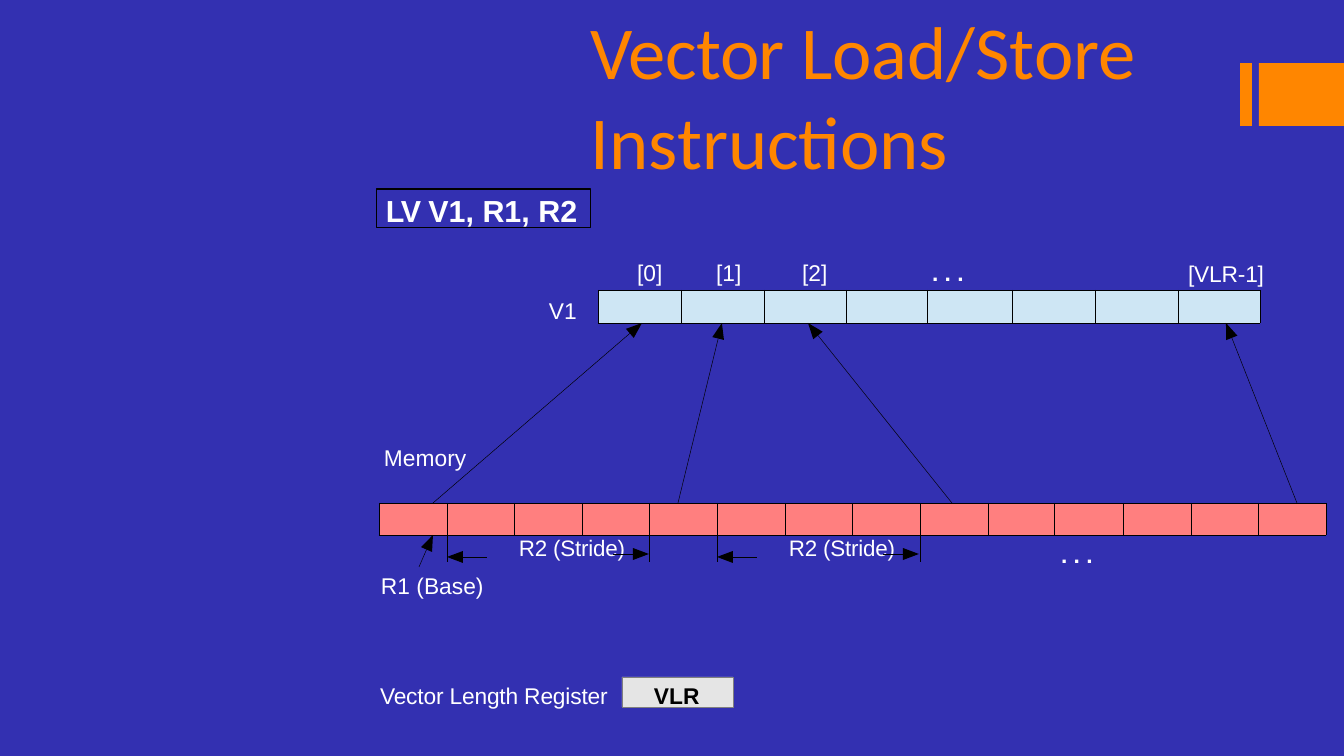
"""Build the slide on vector load/store instructions with strided memory access."""
from math import hypot

from lxml import etree
from pptx import Presentation
from pptx.dml.color import RGBColor
from pptx.enum.shapes import MSO_CONNECTOR as Connector, MSO_SHAPE as Shape
from pptx.enum.text import MSO_ANCHOR as Anchor, MSO_AUTO_SIZE as AutoSize, PP_ALIGN as Align
from pptx.oxml.ns import qn
from pptx.util import Emu, Pt

EMU_PER_PX = 914400 / 134.4
BLUE, ORANGE, WHITE, BLACK = "3330B1", "FF8600", "FFFFFF", "000000"
PALE_BLUE, RED, GREY, DARK_GREY = "CEE6F4", "FF7F7F", "E5E5E5", "7F7F7F"
HAIRLINE = 0.25
REGISTER_TOP, REGISTER_BOTTOM = 290, 323
MEMORY_LEFT, MEMORY_TOP, MEMORY_BOTTOM = 379, 503, 535
REGISTER_WIDTHS = [83, 83, 82, 81, 85, 83, 83, 82]
MEMORY_WIDTHS = [68, 67, 68, 67, 68, 68, 67, 68, 68, 66, 69, 68, 67, 68]
LABELS = [
    (379, 679, 235, [("Vector Length Register", -0.1)], False),
    (548, 294, 31, [("V1", 0)], False),
    (380, 569, 105, [("R1 (Base)", 0)], False),
    (383, 441, 85, [("Mem", 0), ("o", -0.1), ("ry", 0)], False),
    (636, 256, 28, [("[", 0), ("0", -0.1), ("]", 0)], False),
    (715, 256, 28, [("[", 0), ("1", -0.1), ("]", 0)], False),
    (801, 256, 28, [("[2]", 0)], False),
    (1187, 257, 79, [("[VLR-1]", -0.1)], False),
    (931, 256, 35, [(". . .", 0)], True),
    (1060, 538, 35, [(". . .", 0)], True),
]
LOADS = [(433, 642), (678, 722), (952, 808), (1297, 1226)]
STRIDES = [(447, 649), (717, 919)]


def px(length):
    """Turn pixels into EMU."""
    return Emu(round(length * EMU_PER_PX))


def color(value):
    """Turn a hex string into a colour."""
    return RGBColor.from_string(value)


def write(paragraph, runs, size, ink, bold=False, font="Arial"):
    """Add runs of (text, letter spacing in points) to a paragraph."""
    paragraph.alignment = Align.LEFT
    for text, spacing in runs:
        run = paragraph.add_run()
        run.text = text
        run.font.name, run.font.size, run.font.bold = font, Pt(size), bold
        run.font.color.rgb = color(ink)
        if spacing:
            run.font._element.set("spc", str(round(spacing * 100)))


def set_frame(frame, left, top, anchor=Anchor.TOP):
    """Set the insets, wrapping and anchor of a text frame."""
    frame.margin_left, frame.margin_top = px(left), px(top)
    frame.margin_right = frame.margin_bottom = 0
    frame.word_wrap = True
    frame.auto_size = AutoSize.SHAPE_TO_FIT_TEXT
    frame.vertical_anchor = anchor
    return frame.paragraphs[0]


def add_text(slide, left, top, width, height, anchor=Anchor.TOP):
    """Add a text box and return its paragraph."""
    box = slide.shapes.add_textbox(px(left), px(top), px(width), px(height))
    return set_frame(box.text_frame, 1, 3, anchor)


def add_box(slide, left, top, width, height, fill=None, line=None, weight=HAIRLINE):
    """Add a rectangle with an optional fill and outline."""
    box = slide.shapes.add_shape(Shape.RECTANGLE, px(left), px(top), px(width), px(height))
    box.shadow.inherit = False
    if fill:
        box.fill.solid()
        box.fill.fore_color.rgb = color(fill)
    else:
        box.fill.background()
    if line:
        box.line.color.rgb = color(line)
        box.line.width = Pt(weight)
    else:
        box.line.fill.background()
    return box


def add_arrow(slide, start, tip, length=16, half_width=6):
    """Add a hairline that ends in a solid triangular head."""
    distance = hypot(tip[0] - start[0], tip[1] - start[1])
    along_x, along_y = (tip[0] - start[0]) / distance, (tip[1] - start[1]) / distance
    base_x, base_y = tip[0] - length * along_x, tip[1] - length * along_y
    shaft = slide.shapes.add_connector(
        Connector.STRAIGHT, px(start[0]), px(start[1]), px(base_x), px(base_y))
    shaft.line.color.rgb = color(BLACK)
    shaft.line.width = Pt(HAIRLINE)
    etree.SubElement(shaft._element.spPr, qn("a:effectLst"))
    side_x, side_y = half_width * along_y, half_width * along_x
    builder = slide.shapes.build_freeform(px(tip[0]), px(tip[1]))
    builder.add_line_segments([
        (px(base_x + side_x), px(base_y - side_y)),
        (px(base_x - side_x), px(base_y + side_y))])
    head = builder.convert_to_shape()
    head.shadow.inherit = False
    head.fill.solid()
    head.fill.fore_color.rgb = color(BLACK)
    head.line.fill.background()


def style_cell(cell, borders, fill=None):
    """Fill a cell and draw the borders named by letter (L, R, T, B)."""
    cell.margin_left = cell.margin_right = cell.margin_top = cell.margin_bottom = 0
    end = etree.SubElement(cell.text_frame.paragraphs[0]._p, qn("a:endParaRPr"))
    end.set("sz", "600")
    properties = cell._tc.get_or_add_tcPr()
    for side in "LRTB":
        line = etree.SubElement(properties, qn(f"a:ln{side}"), w=str(Pt(HAIRLINE)))
        if side in borders:
            solid = etree.SubElement(line, qn("a:solidFill"))
            etree.SubElement(solid, qn("a:srgbClr"), val=BLACK)
        else:
            etree.SubElement(line, qn("a:noFill"))
    if fill:
        cell.fill.solid()
        cell.fill.fore_color.rgb = color(fill)
    else:
        cell.fill.background()


def add_cells(slide, left, top, widths, heights, fill):
    """Add a table whose first row is a filled strip of cells."""
    table = slide.shapes.add_table(
        len(heights), len(widths), px(left), px(top), px(sum(widths)), px(sum(heights))).table
    table.first_row = table.horz_banding = False
    for column, width in zip(table.columns, widths):
        column.width = px(width)
    for row, height in zip(table.rows, heights):
        row.height = px(height)
    for cell in table.rows[0].cells:
        style_cell(cell, "LRTB", fill)
    return table


def add_memory(slide):
    """Add the memory strip with the stride marks below it."""
    table = add_cells(slide, MEMORY_LEFT, MEMORY_TOP, MEMORY_WIDTHS,
                      [MEMORY_BOTTOM - MEMORY_TOP, 27], RED)
    last = len(MEMORY_WIDTHS) - 1
    for first, final, borders in [(0, 0, "TR"), (1, 3, "LTR"), (4, 4, "LTR"),
                                  (5, 7, "LTR"), (8, last, "LT")]:
        for column in range(first, final + 1):
            sides = {"T"}
            if column == first:
                sides |= set(borders) & {"L"}
            if column == final:
                sides |= set(borders) & {"R"}
            style_cell(table.cell(1, column), sides)
        if final > first:
            table.cell(1, first).merge(table.cell(1, final))
    for column in (1, 5):
        cell = table.cell(1, column)
        cell.margin_left, cell.margin_top = px(72), px(5)
        paragraph = cell.text_frame.paragraphs[0]
        paragraph.line_spacing = Pt(11.3)
        write(paragraph, [("R2 (Stride)", -0.1)], 12, WHITE)


def main():
    """Build and save the slide."""
    presentation = Presentation()
    presentation.slide_width, presentation.slide_height = px(1344), px(756)
    slide = presentation.slides.add_slide(presentation.slide_layouts[6])
    slide.background.fill.solid()
    slide.background.fill.fore_color.rgb = color(BLUE)

    add_box(slide, 1240, 63, 12, 63, ORANGE)
    add_box(slide, 1259, 63, 85, 63, ORANGE)
    title = add_text(slide, 590, 1, 751, 183, Anchor.BOTTOM)
    write(title, [("Vector ", -0.3), ("Load/Store Instructions", 0)], 40, ORANGE, font="Calibri")

    instruction = add_box(slide, 377, 189, 214, 39, line=BLACK, weight=0.57)
    write(set_frame(instruction.text_frame, 9, 3),
          [("LV ", -0.7), ("V1, R1, ", 0), ("R2", -0.1)], 16.3, WHITE, True)
    length_register = add_box(slide, 622, 677, 111, 30, GREY, DARK_GREY)
    write(set_frame(length_register.text_frame, 32, 5), [("VLR", 0)], 12.2, BLACK, True)

    add_cells(slide, 598, REGISTER_TOP, REGISTER_WIDTHS, [REGISTER_BOTTOM - REGISTER_TOP], PALE_BLUE)
    add_memory(slide)
    for left, top, width, runs, bold in LABELS:
        write(add_text(slide, left, top, width, 29), runs, 12.2, WHITE, bold)

    for memory_x, register_x in LOADS:
        add_arrow(slide, (memory_x, MEMORY_TOP), (register_x, REGISTER_BOTTOM))
    add_arrow(slide, (419, 567), (433, MEMORY_BOTTOM))
    for left, right in STRIDES:
        add_arrow(slide, (left + 40, 557), (left, 557))
        add_arrow(slide, (right - 36, 554), (right, 554))
    presentation.save("out.pptx")


if __name__ == "__main__":
    main()
